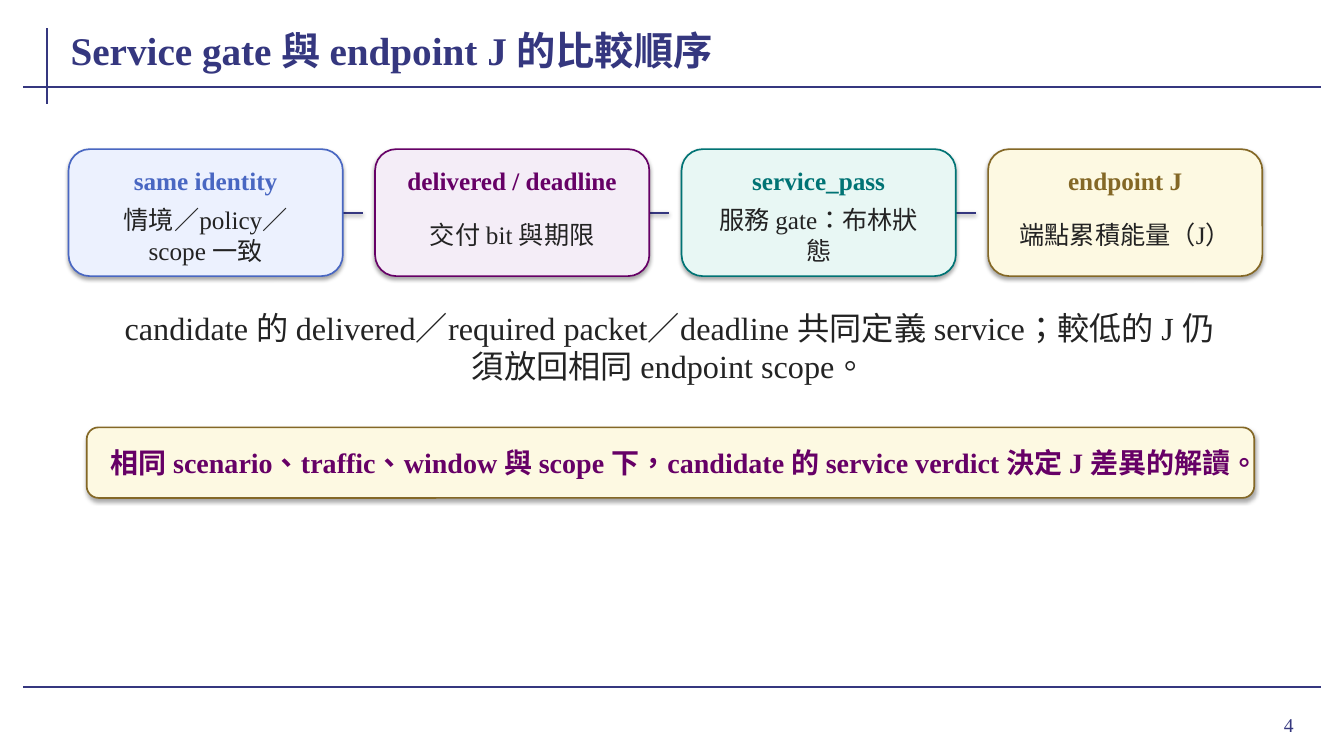
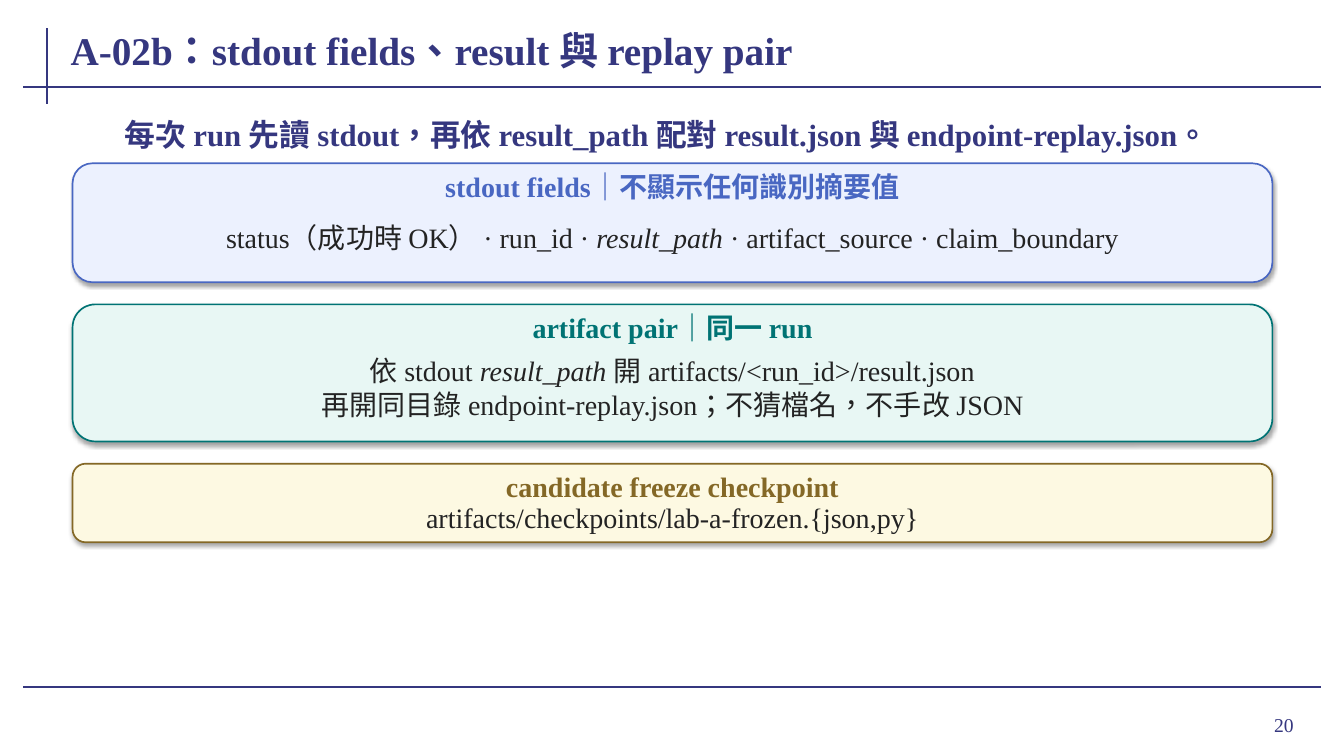
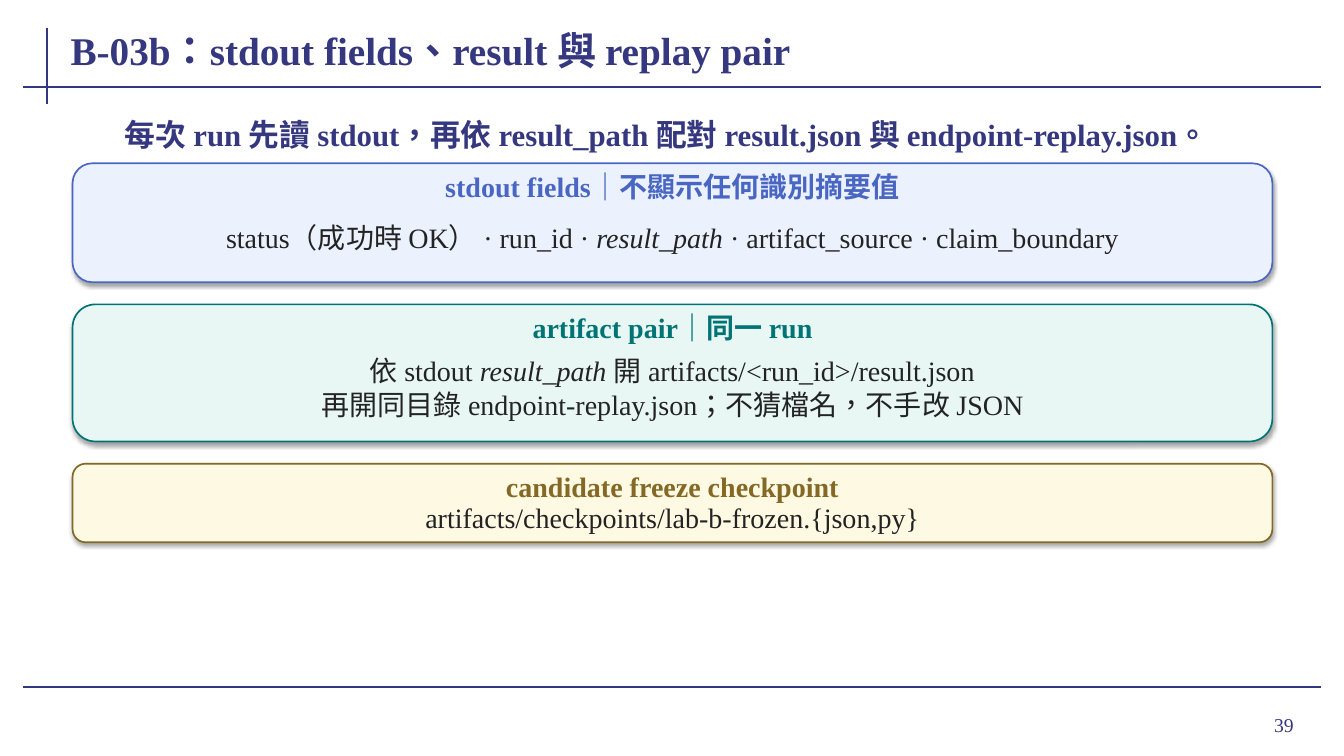
from lxml import etree
from pptx import Presentation
from pptx.dml.color import RGBColor
from pptx.enum.lang import MSO_LANGUAGE_ID
from pptx.enum.shapes import MSO_CONNECTOR, MSO_SHAPE
from pptx.enum.text import MSO_ANCHOR, PP_ALIGN
from pptx.oxml import parse_xml
from pptx.oxml.ns import nsdecls, qn
from pptx.util import Inches, Pt

STRAIGHT = MSO_CONNECTOR.STRAIGHT
ROUNDED = MSO_SHAPE.ROUNDED_RECTANGLE
MIDDLE = MSO_ANCHOR.MIDDLE
LEFT, CENTER, RIGHT = PP_ALIGN.LEFT, PP_ALIGN.CENTER, PP_ALIGN.RIGHT
CHINESE = MSO_LANGUAGE_ID.TRADITIONAL_CHINESE

color = RGBColor.from_string
FONT = "Times New Roman"
NAVY, INK = "35377F", "232323"
BLUE, PURPLE, TEAL, GOLD = "4967C2", "660066", "007374", "846826"
TINTS = {BLUE: "ECF1FE", PURPLE: "F4EDF7", TEAL: "E8F7F4", GOLD: "FDF9E2"}
FRAME_LINES = [(0.47, 0.28, 0.47, 1.03), (0.23, 0.86, 13.1, 0.86), (0.23, 6.82, 13.1, 6.82)]
ITALIC_FIELD = "result_path"


def add_text(slide, box, paragraphs, size, hex_color, bold=False, align=CENTER, inset=(0.01, 0)):
    """Add a text box; each paragraph is a list of runs, and ITALIC_FIELD alone is a slanted run."""
    frame = slide.shapes.add_textbox(*map(Inches, box)).text_frame
    frame.word_wrap = True
    frame.vertical_anchor = MIDDLE
    frame.margin_left = frame.margin_right = Inches(inset[0])
    frame.margin_top = frame.margin_bottom = Inches(inset[1])
    for index, runs in enumerate(paragraphs):
        paragraph = frame.add_paragraph() if index else frame.paragraphs[0]
        paragraph.alignment = align
        for text in runs:
            run = paragraph.add_run()
            run.text = text
            run.font.name = FONT
            run.font.size = Pt(size)
            run.font.bold = bold
            run.font.italic = text == ITALIC_FIELD
            run.font.color.rgb = color(hex_color)
            run.font.language_id = CHINESE


def set_shadow(shape, opacity, distance):
    """Give the shape a soft shadow straight below it, or none at zero opacity."""
    properties = shape.element.spPr
    effects = etree.SubElement(properties, qn("a:effectLst"))
    if opacity:
        effects.append(parse_xml(
            f'<a:outerShdw {nsdecls("a")} blurRad="{Pt(3.1)}" dist="{Pt(distance)}" '
            f'dir="5400000" rotWithShape="0"><a:srgbClr val="000000">'
            f'<a:alpha val="{opacity * 1000}"/></a:srgbClr></a:outerShdw>'))


# Comparison order: four linked steps, a sentence and a verdict banner
steps = [
    (BLUE, "same identity", "情境／policy／scope 一致"),
    (PURPLE, "delivered / deadline", "交付 bit 與期限"),
    (TEAL, "service_pass", "服務 gate：布林狀態"),
    (GOLD, "endpoint J", "端點累積能量（J）"),
]
cards, links, texts = [], [], []
for index, (accent, heading, body) in enumerate(steps):
    left = 0.68 + 3.04 * index
    cards.append(((left, 1.48, 2.72, 1.26), accent))
    texts.append(((left + 0.18, 1.64, 2.36, 0.3), [[heading]], 18, accent, True))
    texts.append(((left + 0.2, 2.06, 2.32, 0.54), [[body]], 18, INK, False, CENTER, (0.08, 0.04)))
    if index < len(steps) - 1:
        links.append((left + 2.72, 2.11, left + 2.92, 2.11))
cards.append(((0.86, 4.24, 11.58, 0.7), GOLD))
texts += [
    ((1, 3.08, 11.28, 0.72),
     [["candidate 的 delivered／required packet／deadline 共同定義 service；"
       "較低的 J 仍須放回相同 endpoint scope。"]],
     23, INK, False, CENTER, (0.08, 0.04)),
    ((1.04, 4.31, 11.22, 0.56),
     [["相同 scenario、traffic、window 與 scope 下，"
       "candidate 的 service verdict 決定 J 差異的解讀。"]],
     20, PURPLE, True, CENTER, (0.02, 0)),
]
pages = [("Service gate 與 endpoint J 的比較順序", 4, cards, links, texts)]

# Output pairs: the same three stacked cards for each lab
for lab, label, number in [("a", "A-02b", 20), ("b", "B-03b", 39)]:
    panels = [
        (BLUE, 1.18, "stdout fields｜不顯示任何識別摘要值",
         [["status（成功時 OK） · run_id · ", ITALIC_FIELD, " · artifact_source · claim_boundary"]]),
        (TEAL, 1.36, "artifact pair｜同一 run",
         [["依 stdout ", ITALIC_FIELD, " 開 artifacts/<run_id>/result.json"],
          ["再開同目錄 endpoint-replay.json；不猜檔名，不手改 JSON"]]),
        (GOLD, 0.78, "candidate freeze checkpoint",
         [[f"artifacts/checkpoints/lab-{lab}-frozen.{{json,py}}"]]),
    ]
    cards = []
    texts = [((0.82, 1.16, 11.58, 0.34),
              [["每次 run 先讀 stdout，再依 result_path 配對 result.json 與 endpoint-replay.json。"]],
              22, NAVY, True)]
    top = 1.62
    for accent, height, heading, body in panels:
        cards.append(((0.72, top, 11.9, height), accent))
        texts.append(((0.9, top + 0.1, 11.54, 0.25), [[heading]], 20, accent, True))
        texts.append(((0.94, top + 0.38, 11.46, height - 0.48), body, 20, INK))
        top += height + 0.22
    pages.append((f"{label}：stdout fields、result 與 replay pair", number, cards, [], texts))

presentation = Presentation()
presentation.slide_width = Inches(13.33)
presentation.slide_height = Inches(7.5)

for title, number, cards, links, texts in pages:
    slide = presentation.slides.add_slide(presentation.slide_layouts[6])
    for ends, opacity in [(ends, 0) for ends in FRAME_LINES] + [(ends, 38) for ends in links]:
        line = slide.shapes.add_connector(STRAIGHT, *map(Inches, ends))
        line.line.color.rgb = color(NAVY)
        line.line.width = Pt(1.5)
        set_shadow(line, opacity, 1.6)
    add_text(slide, (0.68, 0.18, 11.95, 0.62), [[title]], 28, NAVY, True, LEFT, (0.02, 0))
    add_text(slide, (11.96, 6.93, 0.97, 0.52), [[str(number)]], 14, NAVY, False, RIGHT, (0.1, 0.05))
    for box, accent in cards:
        card = slide.shapes.add_shape(ROUNDED, *map(Inches, box))
        card.fill.solid()
        card.fill.fore_color.rgb = color(TINTS[accent])
        card.line.color.rgb = color(accent)
        card.line.width = Pt(1.2)
        set_shadow(card, 35, 1.8)
    for text in texts:
        add_text(slide, *text)

presentation.save("out.pptx")
